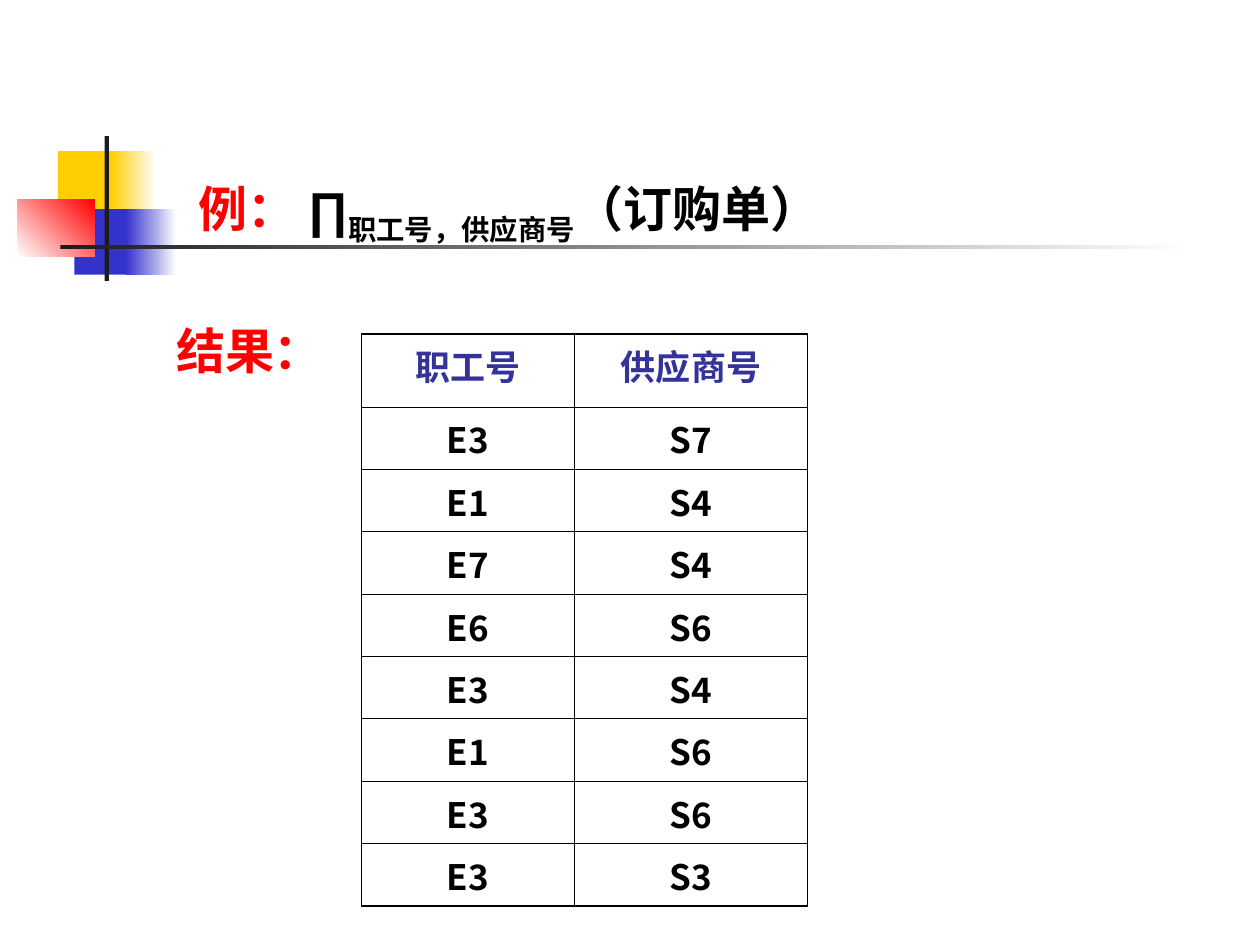
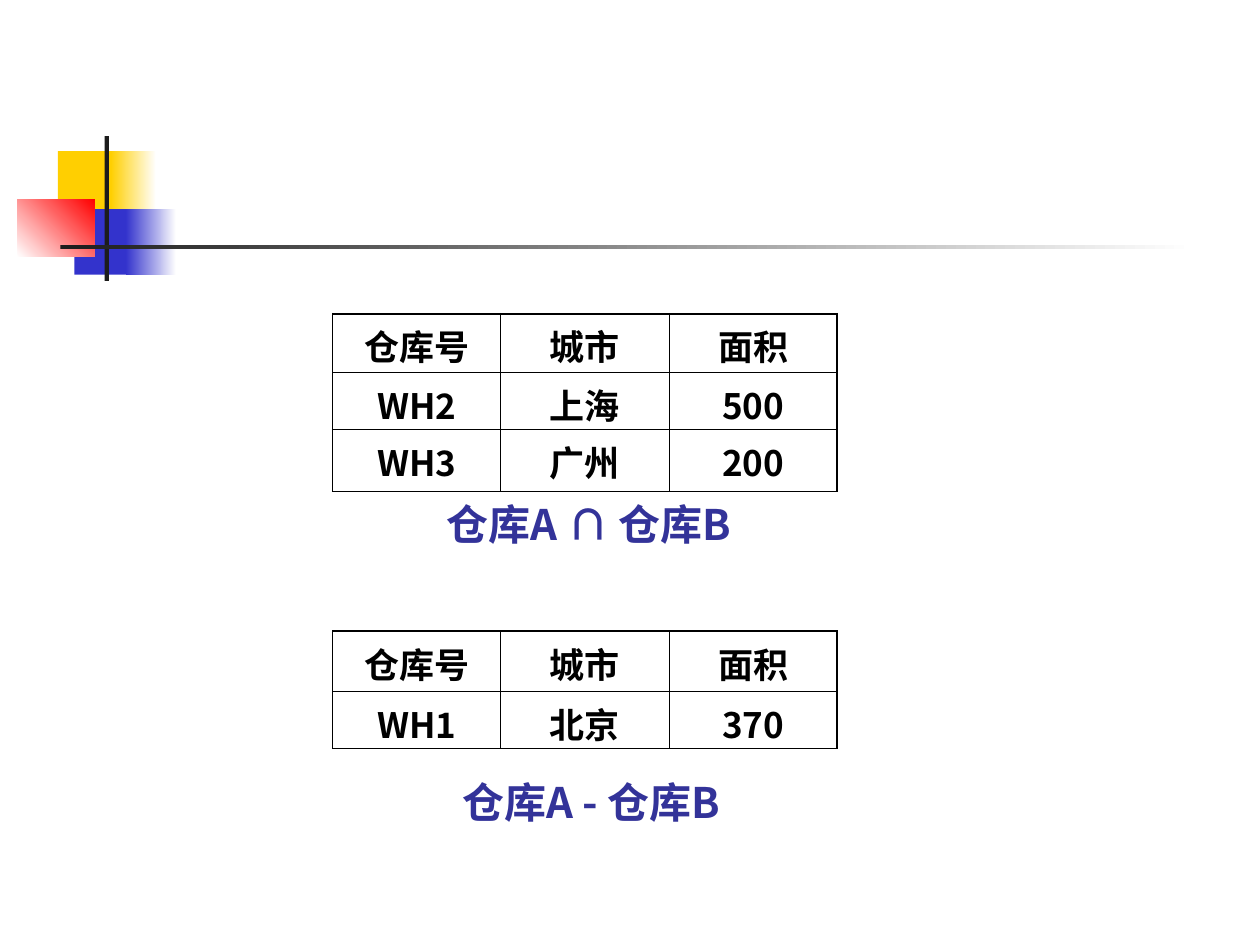
import pptx
import pptx.dml.color
import pptx.enum.shapes
import pptx.enum.text
import pptx.oxml.ns
import pptx.util
from dataclasses import dataclass
from lxml import etree

PX = 914400 // 200  # EMU in one px, 200 px to the inch


@dataclass(frozen=True)
class Theme:
    black: str = "000000"
    white: str = "FFFFFF"
    red: str = "FF0000"
    yellow: str = "FFCF01"
    blue: str = "3333CC"
    navy: str = "333399"
    charcoal: str = "1C1C1C"
    cjk: str = "Noto Sans CJK SC"
    symbol: str = "Arial"
    serif: str = "Times New Roman"
    title_size: int = 28
    caption_size: int = 24
    cell_size: int = 20
    thin: float = 0.45
    thick: float = 1.08


THEME = Theme()


def rgb(code):
    return pptx.dml.color.RGBColor.from_string(code)


def add_child(parent, tag, **attributes):
    return etree.SubElement(parent, pptx.oxml.ns.qn(tag), attributes)


class Painter:
    def __init__(self, deck, theme):
        self.deck, self.theme, self.page = deck, theme, None

    def new_page(self):
        self.page = self.deck.slides.add_slide(self.deck.slide_layouts[6])
        self.page.background.fill.solid()
        self.page.background.fill.fore_color.rgb = rgb(self.theme.white)
        self.ornament()

    def block(self, left, top, width, height, color, end_color=None, angle=0):
        shape = self.page.shapes.add_shape(
            pptx.enum.shapes.MSO_SHAPE.RECTANGLE,
            left * PX, top * PX, width * PX, height * PX)
        shape.shadow.inherit = False
        shape.line.fill.background()
        if end_color:
            shape.fill.gradient()
            shape.fill.gradient_angle = angle
            for stop, stop_color in zip(shape.fill.gradient_stops, (color, end_color)):
                stop.color.rgb = rgb(stop_color)
        else:
            shape.fill.solid()
            shape.fill.fore_color.rgb = rgb(color)

    def ornament(self):
        """Coloured squares with the crossing rules."""
        t = self.theme
        self.block(92, 240, 96, 104, t.yellow)
        self.block(176, 240, 72, 104, t.yellow, t.white)
        self.block(118, 332, 92, 104, t.blue)
        self.block(200, 332, 80, 104, t.blue, t.white)
        self.block(28, 316, 122, 92, t.white, t.red, angle=45)
        self.block(166, 216, 7, 230, t.charcoal)
        self.block(96, 389, 1800, 7, t.charcoal, t.white)

    def style(self, span, size, color, font=None):
        span.font.size = pptx.util.Pt(size)
        span.font.bold = True
        span.font.color.rgb = rgb(color)
        span.font.name = font or self.theme.cjk
        east_asian = self.theme.symbol if font == self.theme.symbol else self.theme.cjk
        add_child(span._r.get_or_add_rPr(), "a:ea", typeface=east_asian)

    def text(self, left, top, width, height, spans, size, wrap=False, centered=False):
        """Each span is (text, colour, font, baseline in percent)."""
        box = self.page.shapes.add_textbox(left * PX, top * PX, width * PX, height * PX)
        frame = box.text_frame
        frame.word_wrap = wrap
        frame.auto_size = pptx.enum.text.MSO_AUTO_SIZE.SHAPE_TO_FIT_TEXT
        frame.vertical_anchor = pptx.enum.text.MSO_ANCHOR.MIDDLE
        para = frame.paragraphs[0]
        if centered:
            para.alignment = pptx.enum.text.PP_ALIGN.CENTER
        for words, color, font, baseline in spans:
            span = para.add_run()
            span.text = words
            self.style(span, size, color, font)
            if baseline:
                span._r.get_or_add_rPr().set("baseline", str(baseline * 1000))

    def caption(self, left, top, width, words, wrap=False):
        self.text(left, top, width, 100, [(words, self.theme.navy, None, 0)],
                  self.theme.caption_size, wrap, centered=True)

    def border(self, cell, side, width):
        line = add_child(cell._tc.get_or_add_tcPr(), "a:ln" + side,
                         w=str(int(pptx.util.Pt(width))))
        add_child(add_child(line, "a:solidFill"), "a:srgbClr", val=self.theme.black)

    def table(self, left, top, widths, heights, rows, header_color, thin_corner=False):
        t = self.theme
        grid = self.page.shapes.add_table(
            len(rows), len(widths), left * PX, top * PX,
            sum(widths) * PX, sum(heights) * PX).table
        grid.first_row = grid.horz_banding = False
        for column, width in zip(grid.columns, widths):
            column.width = width * PX
        for r, (values, height) in enumerate(zip(rows, heights)):
            grid.rows[r].height = height * PX
            for c, value in enumerate(values):
                cell = grid.cell(r, c)
                cell.text_frame.text = value
                cell.margin_bottom = 0
                para = cell.text_frame.paragraphs[0]
                para.alignment = pptx.enum.text.PP_ALIGN.CENTER
                self.style(para.runs[0], t.cell_size, t.black if r else header_color)
                # Thick lines run round the outside only
                outer = {"L": c == 0 and not (thin_corner and r == 0),
                         "R": c == len(widths) - 1,
                         "T": r == 0,
                         "B": r == len(rows) - 1}
                for side, is_outer in outer.items():
                    self.border(cell, side, t.thick if is_outer else t.thin)
                cell.fill.background()


def projection_page(painter):
    t = painter.theme
    painter.new_page()
    orders = ["E3 S7", "E1 S4", "E7 S4", "E6 S6", "E3 S4", "E1 S6", "E3 S6", "E3 S3"]
    rows = [["职工号", "供应商号"]] + [order.split() for order in orders]
    painter.table(574, 530, [338, 370], [116] + [99] * len(orders), rows, t.navy)
    painter.text(296, 274, 1050, 126, [
        ("例： ", t.red, None, 0),
        ("∏", t.black, t.symbol, 0),
        ("职工号，供应商号", t.black, None, -25),
        ("（订购单）", t.black, None, 0),
    ], t.title_size)
    painter.text(260, 498, 272, 114, [("结果：", t.red, t.serif, 0)], t.title_size)


def set_operations_page(painter):
    painter.new_page()
    header = ["仓库号", "城市", "面积"]

    def warehouses(top, heights, *rows):
        painter.table(528, top, [267] * 3, heights, [header, *rows],
                      painter.theme.black, thin_corner=True)

    # Intersection
    warehouses(498, [93, 90, 99], ["WH2", "上海", "500"], ["WH3", "广州", "200"])
    painter.caption(650, 782, 570, "仓库A ∩ 仓库B", wrap=True)
    # Difference
    warehouses(1002, [96, 90], ["WH1", "北京", "370"])
    painter.caption(662, 1222, 554, "仓库A - 仓库B")


def main():
    deck = pptx.Presentation()
    deck.slide_width, deck.slide_height = 2000 * PX, 1500 * PX
    painter = Painter(deck, THEME)
    projection_page(painter)
    set_operations_page(painter)
    deck.save("out.pptx")


if __name__ == "__main__":
    main()
